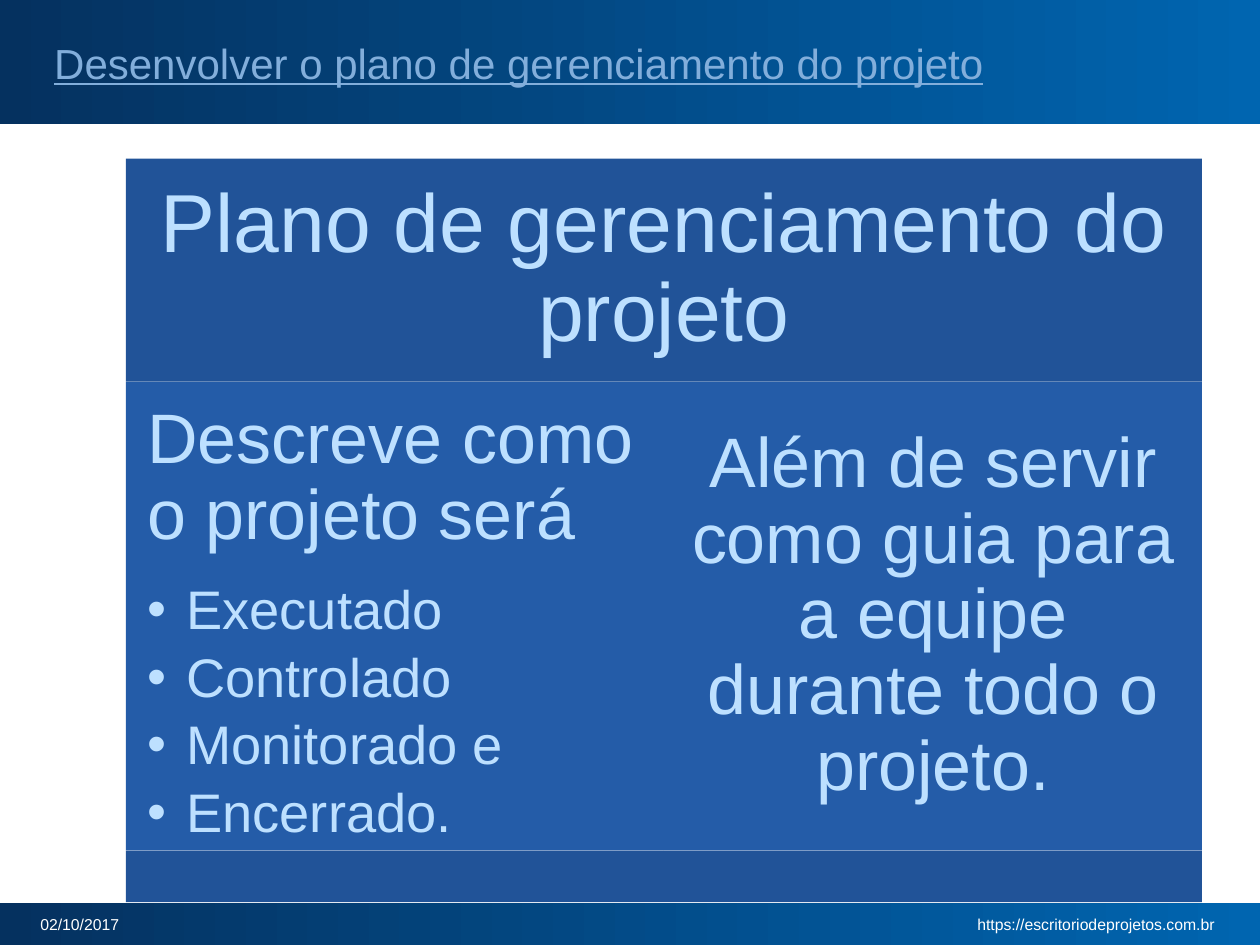
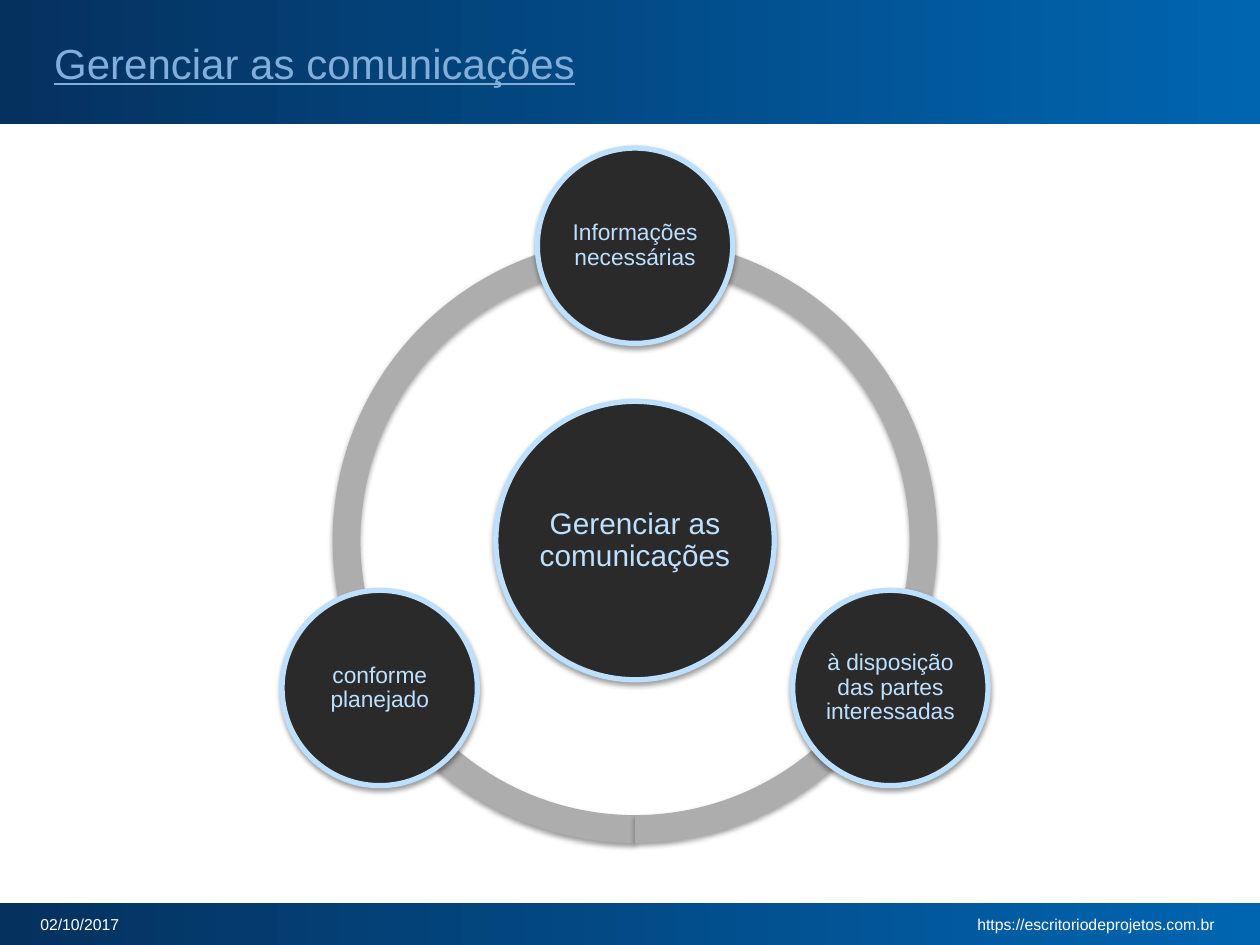
from math import cos, radians, sin

from lxml import etree
from pptx import Presentation
from pptx.dml.color import RGBColor
from pptx.enum.shapes import MSO_CONNECTOR, MSO_SHAPE as Preset
from pptx.enum.text import MSO_ANCHOR as Anchor, MSO_AUTO_SIZE, PP_ALIGN as Align
from pptx.oxml import parse_xml
from pptx.oxml.ns import nsdecls, qn
from pptx.util import Inches, Pt

# Shared look
FONT = "Arial"
WHITE = RGBColor(0xFF, 0xFF, 0xFF)
BAND_START = RGBColor(0x05, 0x31, 0x5F)
BAND_END = RGBColor(0x00, 0x65, 0xB0)
TITLE_BLUE = RGBColor(0x82, 0xAE, 0xDB)
PALE_BLUE = RGBColor(0xBD, 0xE0, 0xFF)
PANEL_DARK = RGBColor(0x21, 0x53, 0x98)
PANEL_LIGHT = RGBColor(0x24, 0x5C, 0xA8)
RING_GRAY = RGBColor(0xAD, 0xAD, 0xAD)
DISC_BLACK = RGBColor(0x2A, 0x2A, 0x2A)
SLIDE_WIDTH, SLIDE_HEIGHT = 10, 7.5
HEADER_HEIGHT, FOOTER_TOP = 0.99, 7.17
BULLET_INDENT = 0.31


def write(shape, text, size, color=PALE_BLUE, align=Align.CENTER, anchor=Anchor.MIDDLE,
          inset=0.0, line_spacing=None, space_after=0.0, underline=None):
    """Set the first paragraph and the text frame of a shape."""
    frame = shape.text_frame
    frame.word_wrap = True
    frame.auto_size = MSO_AUTO_SIZE.NONE
    frame.vertical_anchor = anchor
    if inset is not None:
        frame.margin_left = frame.margin_right = Inches(inset)
        frame.margin_top = frame.margin_bottom = Inches(inset)
    paragraph = frame.paragraphs[0]
    style(paragraph, text, size, color, align, line_spacing, space_after, underline)


def style(paragraph, text, size, color=PALE_BLUE, align=Align.LEFT,
          line_spacing=None, space_after=0.0, underline=None):
    paragraph.alignment = align
    paragraph.line_spacing = line_spacing
    paragraph.space_after = Pt(size * space_after)
    run = paragraph.add_run()
    run.text = text
    font = run.font
    font.name, font.size, font.underline = FONT, Pt(size), underline
    font.color.rgb = color


def add_bullet(frame, text, size):
    paragraph = frame.add_paragraph()
    paragraph.level = 1
    style(paragraph, text, size, line_spacing=0.9, space_after=0.17)
    properties = paragraph._p.get_or_add_pPr()
    properties.set("marL", str(Inches(BULLET_INDENT)))
    properties.set("indent", str(-Inches(BULLET_INDENT)))
    etree.SubElement(properties, qn("a:buFont")).set("typeface", FONT)
    etree.SubElement(properties, qn("a:buChar")).set("char", "•")


def add_box(slide, preset, left, top, width, height, fill=None):
    shape = slide.shapes.add_shape(
        preset, Inches(left), Inches(top), Inches(width), Inches(height))
    shape.shadow.inherit = False
    shape.line.fill.background()
    if fill is not None:
        shape.fill.solid()
        shape.fill.fore_color.rgb = fill
    return shape


def add_soft_shadow(shape):
    effects = shape._element.spPr.find(qn("a:effectLst"))
    effects.append(parse_xml(
        f'<a:outerShdw {nsdecls("a")} blurRad="{Pt(3.1)}" dist="{Pt(1.6)}" '
        'dir="5400000" rotWithShape="0"><a:srgbClr val="000000">'
        '<a:alpha val="38000"/></a:srgbClr></a:outerShdw>'))


# Header, footer and title
def add_band(slide, top, height):
    band = add_box(slide, Preset.RECTANGLE, 0, top, SLIDE_WIDTH, height)
    band.fill.gradient()
    band.fill.gradient_angle = 0
    for stop, color in zip(band.fill.gradient_stops, (BAND_START, BAND_END)):
        stop.color.rgb = color


def add_footer_text(slide, text, left, width, align):
    box = slide.shapes.add_textbox(
        Inches(left), Inches(7.25), Inches(width), Inches(0.17))
    write(box, text, 9, color=WHITE, align=align)


def add_base_slide(presentation, title_text):
    slide = presentation.slides.add_slide(presentation.slide_layouts[5])
    add_band(slide, 0, HEADER_HEIGHT)
    add_band(slide, FOOTER_TOP, SLIDE_HEIGHT - FOOTER_TOP)
    rule = slide.shapes.add_connector(
        MSO_CONNECTOR.STRAIGHT, Inches(SLIDE_WIDTH), Inches(HEADER_HEIGHT),
        0, Inches(HEADER_HEIGHT))
    rule.line.color.rgb = WHITE
    rule.line.width = Pt(1)
    etree.SubElement(rule._element.spPr, qn("a:effectLst"))
    add_footer_text(slide, "02/10/2017", 0.32, 1.21, Align.LEFT)
    add_footer_text(slide, "https://escritoriodeprojetos.com.br", 4.31, 5.33, Align.RIGHT)

    title = slide.shapes.title
    title.left, title.top = Inches(0.33), Inches(0.08)
    title.width, title.height = Inches(8.32), Inches(0.83)
    write(title, title_text, 24, color=TITLE_BLUE, align=Align.LEFT,
          inset=None, underline=True)
    # Bring the title in front of the header band
    title.element.getparent().append(title.element)
    return slide


# Panel with a heading, two columns and a base strip
def add_plan_panel(slide, left, top, width, height):
    heading_height, base_height = 1.77, 0.41
    column_width = width / 2
    column_top = top + heading_height
    column_height = height - heading_height - base_height

    heading = add_box(slide, Preset.RECTANGLE, left, top, width, heading_height, PANEL_DARK)
    write(heading, "Plano de gerenciamento do projeto", 47, inset=0.2, line_spacing=0.9)

    description, guide = (
        add_box(slide, Preset.RECTANGLE, left + index * column_width, column_top,
                column_width, column_height, PANEL_LIGHT)
        for index in range(2))
    write(description, "Descreve como o projeto será", 40, align=Align.LEFT,
          anchor=Anchor.TOP, inset=0.17, line_spacing=0.9, space_after=0.4)
    for text in ("Executado", "Controlado", "Monitorado e", "Encerrado."):
        add_bullet(description.text_frame, text, 31)
    write(guide, "Além de servir como guia para a equipe durante todo o projeto.", 40,
          inset=0.17, line_spacing=0.9)

    add_box(slide, Preset.RECTANGLE, left, column_top + column_height,
            width, base_height, PANEL_DARK)


# Ring with a hub and three satellites
def add_disc(slide, center_x, center_y, diameter, text, size):
    disc = add_box(slide, Preset.OVAL, center_x - diameter / 2, center_y - diameter / 2,
                   diameter, diameter, DISC_BLACK)
    disc.line.color.rgb = PALE_BLUE
    disc.line.width = Pt(3)
    add_soft_shadow(disc)
    write(disc, text, size, inset=0.02, line_spacing=0.9)


def add_radial_cycle(slide, left, top, diameter):
    center_x, center_y = left + diameter / 2, top + diameter / 2
    for start, end in ((90, 162), (18, 90), (162, 18)):
        arc = add_box(slide, Preset.BLOCK_ARC, left, top, diameter, diameter, RING_GRAY)
        # Angles are stored in 60000ths of a degree, adjustments in 100000ths
        for index, value in enumerate((start * 0.6, end * 0.6, 0.046)):
            arc.adjustments[index] = value
        add_soft_shadow(arc)

    add_disc(slide, center_x, center_y, 2.21, "Gerenciar as comunicações", 17)
    satellites = ("Informações necessárias", "à disposição das partes interessadas",
                  "conforme planejado")
    orbit = 2.34
    for index, text in enumerate(satellites):
        angle = radians(-90 + index * 360 / len(satellites))
        add_disc(slide, center_x + orbit * cos(angle), center_y + orbit * sin(angle),
                 1.55, text, 13)


def main():
    presentation = Presentation()
    presentation.slide_width = Inches(SLIDE_WIDTH)
    presentation.slide_height = Inches(SLIDE_HEIGHT)

    plan_slide = add_base_slide(
        presentation, "Desenvolver o plano de gerenciamento do projeto")
    add_plan_panel(plan_slide, 1, 1.26, 8.54, 5.9)

    communication_slide = add_base_slide(presentation, "Gerenciar as comunicações")
    add_radial_cycle(communication_slide, 2.64, 1.89, 4.8)

    presentation.save("out.pptx")


if __name__ == "__main__":
    main()
